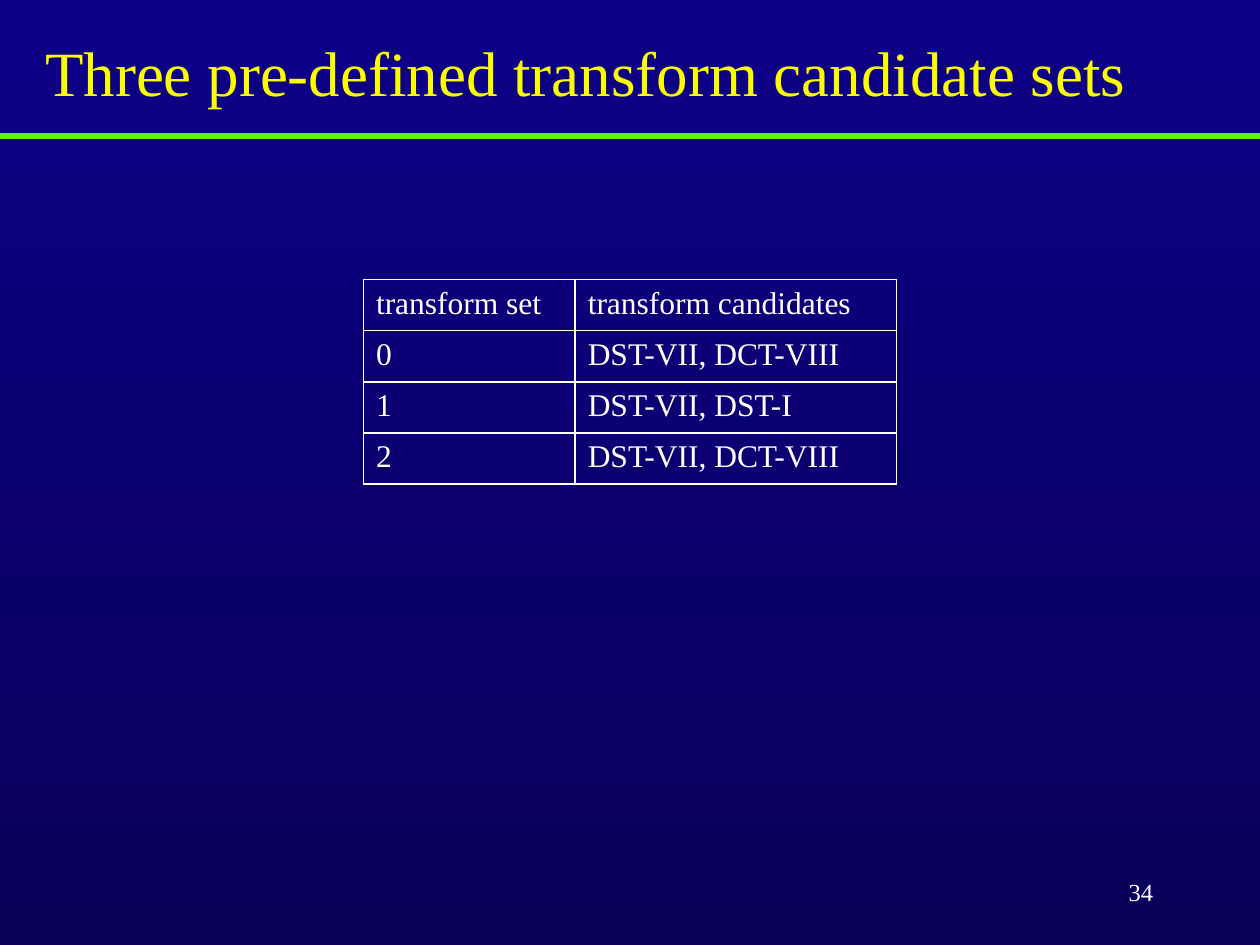
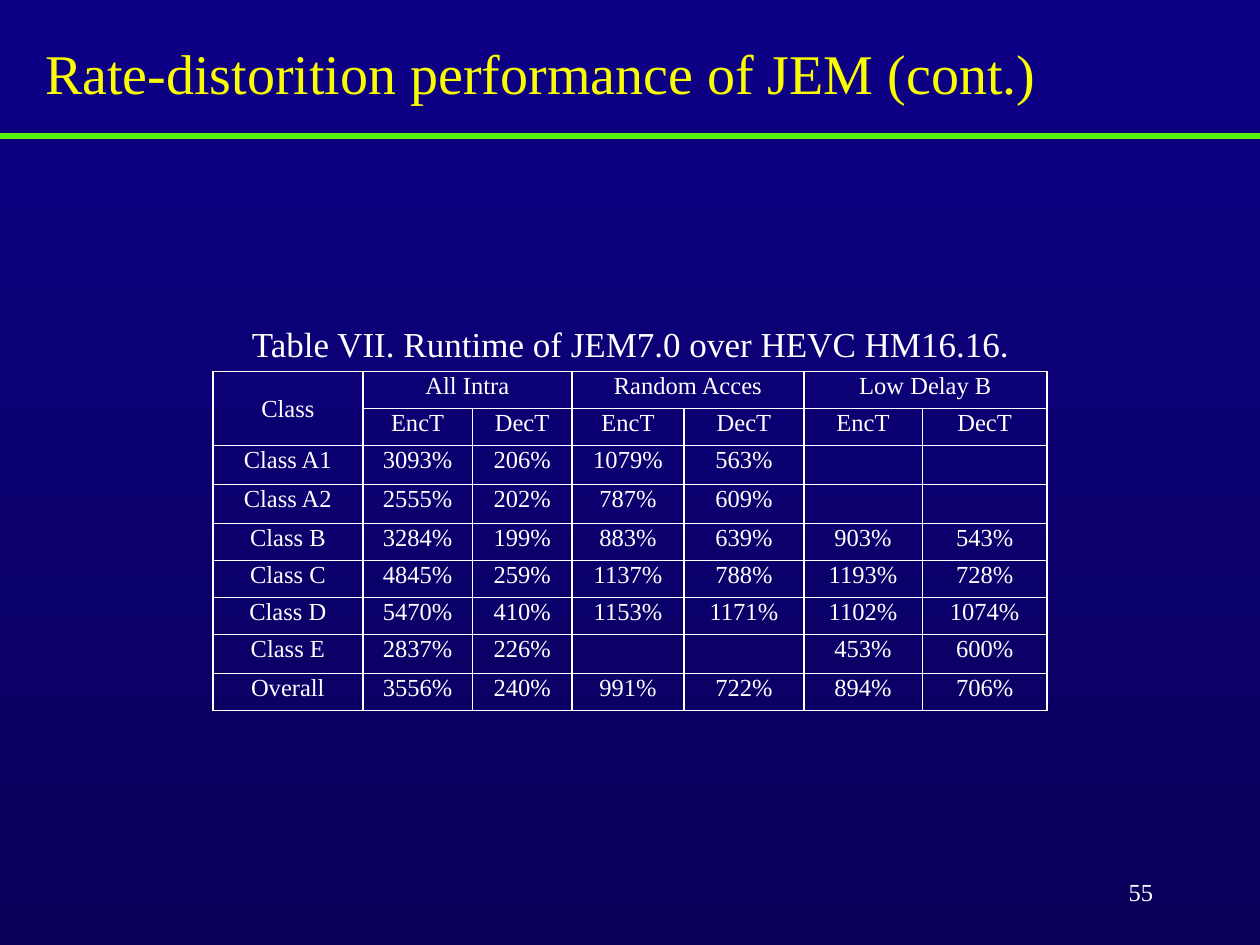
from lxml import etree
from pptx import Presentation
from pptx.dml.color import RGBColor
from pptx.enum import shapes, text
from pptx.oxml import ns
from pptx.util import Pt

SETS = [
    ("transform set", "transform candidates"),
    ("0", "DST-VII, DCT-VIII"),
    ("1", "DST-VII, DST-I"),
    ("2", "DST-VII, DCT-VIII"),
]
MODES = ["All Intra", "Random Acces", "Low Delay B"]
TIMES = [
    ("Class A1", "3093%", "206%", "1079%", "563%", "", ""),
    ("Class A2", "2555%", "202%", "787%", "609%", "", ""),
    ("Class B", "3284%", "199%", "883%", "639%", "903%", "543%"),
    ("Class C", "4845%", "259%", "1137%", "788%", "1193%", "728%"),
    ("Class D", "5470%", "410%", "1153%", "1171%", "1102%", "1074%"),
    ("Class E", "2837%", "226%", "", "", "453%", "600%"),
    ("Overall", "3556%", "240%", "991%", "722%", "894%", "706%"),
]
CAPTION = "Table VII. Runtime of JEM7.0 over HEVC HM16.16."

WIDTH, HEIGHT = 720, 540
RULE_Y = 77.8
SET_COLS = [121, 183.6]
TIME_COLS = [85.7, 62.6, 56.9, 64.1, 68.4, 67.7, 71.3]
FONT = "Times New Roman"
TOP = RGBColor(0x0D, 0x00, 0x86)
BOTTOM = RGBColor(0x09, 0x00, 0x59)
GREEN = RGBColor(0x5A, 0xF4, 0x00)
YELLOW = RGBColor(0xFA, 0xFD, 0x00)
WHITE = RGBColor(0xFF, 0xFF, 0xFF)
LEFT, CENTER, RIGHT = (text.PP_ALIGN.LEFT, text.PP_ALIGN.CENTER,
                       text.PP_ALIGN.RIGHT)
MIDDLE = text.MSO_ANCHOR.MIDDLE


def write(frame, words, size=18, color=WHITE, align=LEFT, spacing=None):
    para = frame.paragraphs[0]
    para.alignment = align
    para.line_spacing = spacing
    run = para.add_run()
    run.text = words
    run.font.name, run.font.size = FONT, Pt(size)
    run.font.color.rgb = color


def add_box(slide, words, x, y, w, h, anchor=MIDDLE, **style):
    frame = slide.shapes.add_textbox(Pt(x), Pt(y), Pt(w), Pt(h)).text_frame
    frame.word_wrap = True
    frame.vertical_anchor = anchor
    write(frame, words, **style)


def add_sub(parent, tag, **attrs):
    return etree.SubElement(parent, ns.qn(tag), **attrs)


def frame_cell(cell):
    """Clear the fill and draw a white one-point border on all four sides."""
    cell.fill.background()
    props = cell._tc.get_or_add_tcPr()
    for spot, side in enumerate("LRTB"):
        line = add_sub(props, f"a:ln{side}", w=str(Pt(1)))
        add_sub(add_sub(line, "a:solidFill"), "a:srgbClr", val=str(WHITE))
        props.insert(spot, line)


def add_grid(slide, rows, cols, y, row_h, inset=None, **style):
    """Add a table centred across the slide; inset is left, top, right, bottom."""
    wide = sum(cols)
    table = slide.shapes.add_table(
        len(rows), len(cols), Pt((WIDTH - wide) / 2), Pt(y),
        Pt(wide), Pt(row_h * len(rows))).table
    table.first_row = table.horz_banding = False
    for col, w in zip(table.columns, cols):
        col.width = Pt(w)
    for r, row in enumerate(rows):
        table.rows[r].height = Pt(row_h)
        for c, words in enumerate(row):
            cell = table.cell(r, c)
            frame_cell(cell)
            if inset:
                (cell.margin_left, cell.margin_top, cell.margin_right,
                 cell.margin_bottom) = map(Pt, inset)
            if words:
                write(cell.text_frame, words, **style)
    return table


def add_page(deck, title, size, number):
    slide = deck.slides.add_slide(deck.slide_layouts[6])
    fill = slide.background.fill
    fill.gradient()
    fill.gradient_angle = 270
    for stop, color, place in zip(fill.gradient_stops, (TOP, BOTTOM), (0, 1)):
        stop.color.rgb, stop.position = color, place
    rule = slide.shapes.add_connector(
        shapes.MSO_CONNECTOR.STRAIGHT, 0, Pt(RULE_Y), Pt(WIDTH), Pt(RULE_Y))
    rule.line.color.rgb, rule.line.width = GREEN, Pt(3)
    add_sub(rule._element.spPr, "a:effectLst")
    add_box(slide, title, 18.7, 22.3, 681, 42.5,
            size=size, color=YELLOW, spacing=0.9)
    add_box(slide, number, 516.2, 491.8, 149.8, 36, size=14, align=RIGHT)
    return slide


def add_sets(deck):
    slide = add_page(deck, "Three pre-defined transform candidate sets", 36, "34")
    add_grid(slide, SETS, SET_COLS, 159.8, 29.2)


def add_times(deck):
    slide = add_page(deck, "Rate-distorition performance of JEM (cont.)", 32, "55")
    head = ["Class"]
    for mode in MODES:
        head += [mode, ""]
    kinds = ["", *["EncT", "DecT"] * len(MODES)]
    table = add_grid(slide, [head, kinds, *TIMES], TIME_COLS, 212.4, 21.12,
                     inset=(0.7, 0.7, 0.7, 0), size=14, align=CENTER)
    table.cell(0, 0).merge(table.cell(1, 0))
    table.cell(0, 0).vertical_anchor = MIDDLE
    for c in range(1, len(head), 2):
        table.cell(0, c).merge(table.cell(0, c + 1))
    add_box(slide, CAPTION, 121.7, 180.7, 477.4, 31.7,
            anchor=text.MSO_ANCHOR.TOP, size=20, align=CENTER)


def main():
    deck = Presentation()
    deck.slide_width, deck.slide_height = Pt(WIDTH), Pt(HEIGHT)
    add_sets(deck)
    add_times(deck)
    deck.save("out.pptx")


if __name__ == "__main__":
    main()
